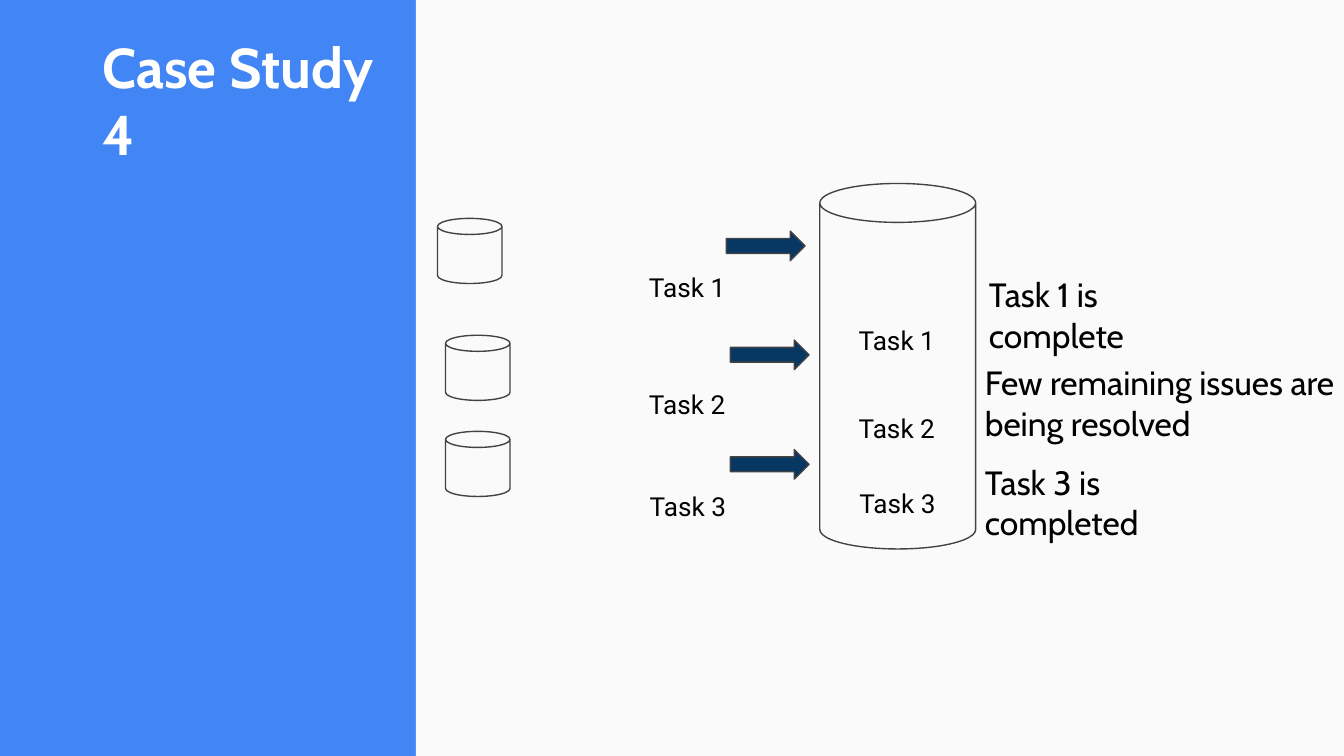
from pptx import Presentation
from pptx.dml.color import RGBColor
from pptx.enum.shapes import MSO_SHAPE as Shape
from pptx.enum.text import MSO_ANCHOR as Anchor, MSO_AUTO_SIZE as AutoSize, PP_ALIGN as Align
from pptx.util import Inches, Pt

COLORS = {
    "blue": "4285F4",
    "panel": "FAFAFA",
    "outline": "424242",
    "arrow": "073763",
    "text": "000000",
    "title": "FFFFFF",
}
WIDTH = Inches(10)
HEIGHT = WIDTH * 9 // 16
COLUMNS = 100
CELL = WIDTH / COLUMNS
ROWS = HEIGHT / CELL
PANEL_LEFT = 30.95

SMALL_CANS = [(32.55, 16.25), (33.15, 24.95), (33.15, 32.1)]
ARROWS = [(54.05, 17.2), (54.35, 25.3), (54.35, 33.45)]
QUEUED_LABELS = [(47.3, 19.4), (47.3, 28.1), (47.35, 35.7)]
STORED_LABELS = [(62.9, 23.55), (62.9, 30.05), (62.95, 35.65)]
STATUSES = [
    ("Task 1 is complete", 72.6, 19.4, 18.8, 6.6),
    ("Few remaining issues are being resolved", 72.3, 25.95, 29.5, 7.8),
    ("Task 3 is completed", 72.3, 33.35, 21, 8.5),
]


def color(name):
    return RGBColor.from_string(COLORS[name])


def grid(*lengths):
    return [round(length * CELL) for length in lengths]


def add_shape(page, kind, column, row, columns, rows, fill=None, outlined=True):
    shape = page.shapes.add_shape(kind, *grid(column, row, columns, rows))
    shape.shadow.inherit = False
    if fill:
        shape.fill.solid()
        shape.fill.fore_color.rgb = color(fill)
    else:
        shape.fill.background()
    if outlined:
        shape.line.color.rgb = color("outline")
        shape.line.width = Pt(0.75)
    else:
        shape.line.fill.background()


def write(box, text, font, size, ink, bold=False):
    frame = box.text_frame
    frame.word_wrap = True
    frame.auto_size = AutoSize.NONE
    frame.vertical_anchor = Anchor.TOP
    frame.margin_left = frame.margin_right = Inches(0.1)
    frame.margin_top = frame.margin_bottom = Inches(0.1)
    para = frame.paragraphs[0]
    para.alignment = Align.LEFT
    span = para.add_run()
    span.text = text
    span.font.name = font
    span.font.size = Pt(size)
    span.font.bold = bold
    span.font.color.rgb = color(ink)


def add_text(page, text, column, row, columns, rows, font, size):
    box = page.shapes.add_textbox(*grid(column, row, columns, rows))
    write(box, text, font, size, "text")


def add_title(page, text):
    title = page.shapes.title
    title.left, title.top, title.width, title.height = grid(6.6, 1.4, 23.3, 10.4)
    write(title, text, "Cabin", 30, "title", bold=True)


def add_task_labels(page, places, rows):
    for number, (column, row) in enumerate(places, 1):
        columns = 10.8 if number == len(places) else 9
        add_text(page, f"Task {number}", column, row, columns, rows, "Roboto", 14)


def main():
    deck = Presentation()
    deck.slide_width, deck.slide_height = WIDTH, HEIGHT
    page = deck.slides.add_slide(deck.slide_layouts[5])
    page.background.fill.solid()
    page.background.fill.fore_color.rgb = color("blue")

    add_shape(page, Shape.RECTANGLE, PANEL_LEFT, 0, COLUMNS - PANEL_LEFT, ROWS, "panel", outlined=False)
    add_title(page, "Case Study 4")
    for column, row in SMALL_CANS:
        add_shape(page, Shape.CAN, column, row, 4.8, 4.85)
    add_shape(page, Shape.CAN, 61, 13.65, 11.6, 27.2)
    for column, row in ARROWS:
        add_shape(page, Shape.RIGHT_ARROW, column, row, 5.85, 2.2, "arrow")
    add_task_labels(page, QUEUED_LABELS, 1.6)
    add_task_labels(page, STORED_LABELS, 1.2)
    for text, *place in STATUSES:
        add_text(page, text, *place, "Cabin", 18)

    deck.save("out.pptx")


if __name__ == "__main__":
    main()
